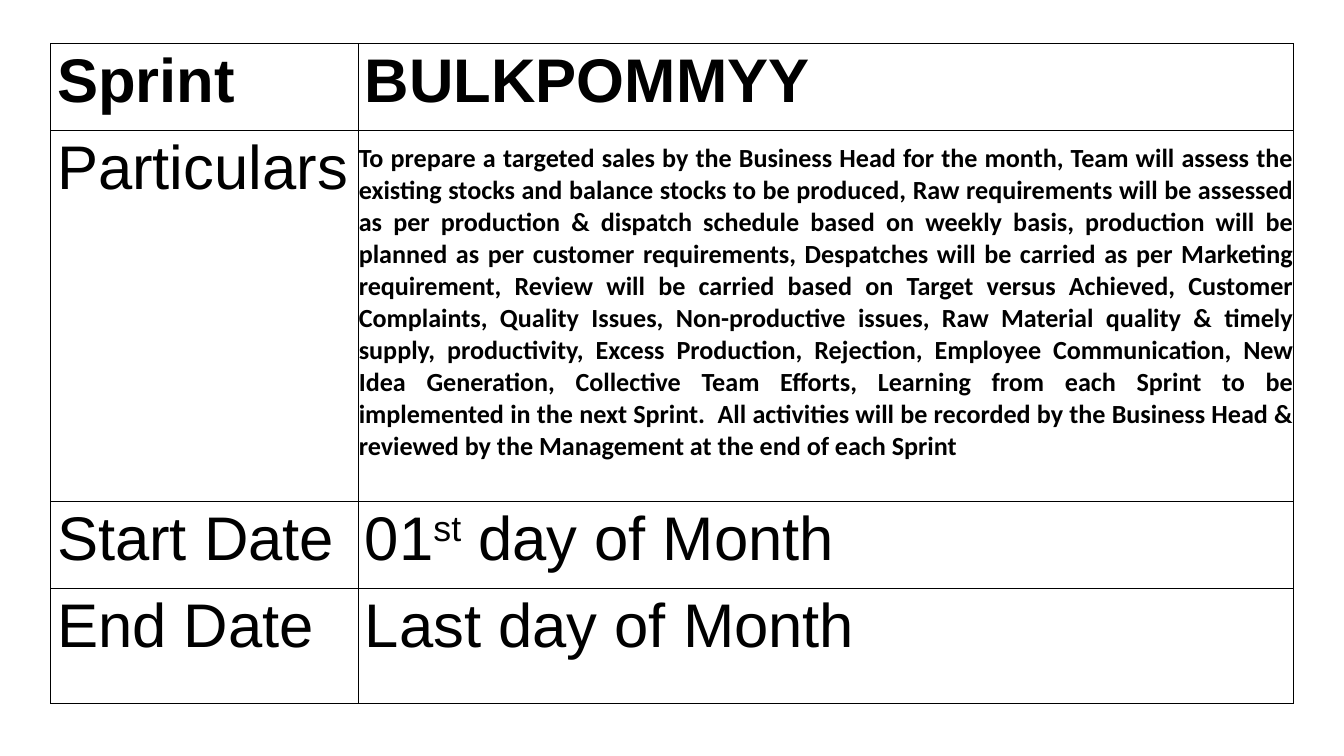
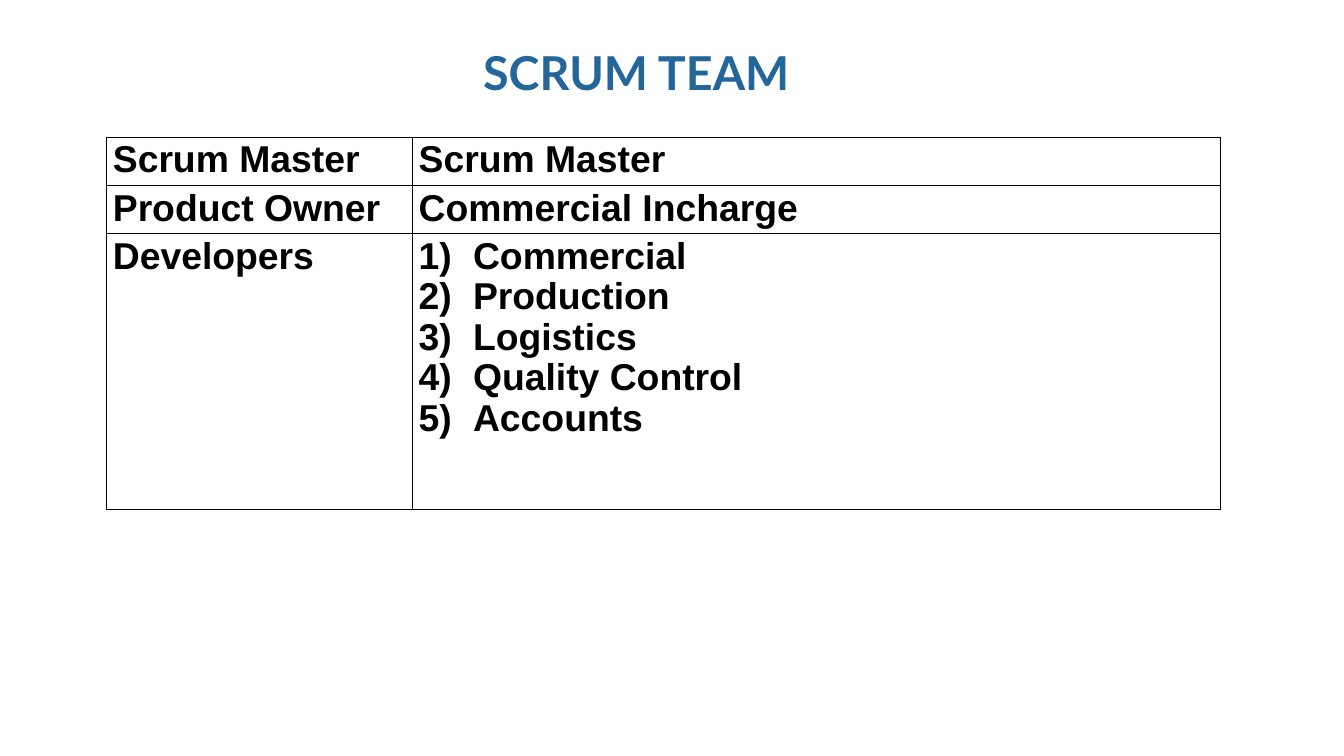
from lxml.etree import SubElement
from pptx import Presentation
from pptx.dml.color import RGBColor
from pptx.enum.text import MSO_ANCHOR, PP_ALIGN
from pptx.oxml import parse_xml
from pptx.oxml.ns import nsdecls, qn
from pptx.util import Inches, Pt

BLACK = RGBColor(0x00, 0x00, 0x00)
WHITE = RGBColor(0xFF, 0xFF, 0xFF)
BLUE = RGBColor(0x23, 0x66, 0x99)

PARTICULARS = (
    "To prepare a targeted sales by the Business Head for the month, "
    "Team will assess the existing stocks and balance stocks to be produced, "
    "Raw requirements will be assessed as per production & dispatch schedule "
    "based on weekly basis, production will be planned as per customer requirements, "
    "Despatches will be carried as per Marketing requirement, "
    "Review will be carried based on Target versus Achieved, Customer Complaints, "
    "Quality Issues, Non-productive issues, Raw Material quality & timely supply, "
    "productivity, Excess Production, Rejection, Employee Communication, "
    "New Idea Generation, Collective Team Efforts, Learning from each Sprint to be "
    "implemented in the next Sprint.  All activities will be recorded by the "
    "Business Head & reviewed by the Management at the end of each Sprint"
)
SPRINT = [
    ("Sprint", "BULKPOMMYY"),
    ("Particulars", PARTICULARS),
    ("Start Date", [("01", 0), ("st", 30), (" day of Month", 0)]),
    ("End Date", "Last day of Month"),
]
DEVELOPERS = ["Commercial", "Production", "Logistics", "Quality Control", "Accounts"]
TEAM = [
    ("Scrum Master", "Scrum Master"),
    ("Product Owner", "Commercial Incharge"),
    ("Developers", DEVELOPERS),
]


def write(para, text, size=40, font="Arial", color=BLACK, bold=False,
          align=None, spacing=None, numbered=False):
    para.alignment = align
    para.line_spacing = spacing
    if numbered:
        props = para._p.get_or_add_pPr()
        props.set("marL", str(Inches(0.81)))
        props.set("indent", str(-Inches(0.81)))
        SubElement(props, qn("a:buFont"), typeface="+mj-lt")
        SubElement(props, qn("a:buAutoNum"), type="arabicParenR")
    for words, raised in [(text, 0)] if isinstance(text, str) else text:
        span = para.add_run()
        span.text = words
        span.font.size = Pt(size)
        span.font.name = font
        span.font.bold = bold
        span.font.color.rgb = color
        if raised:
            span.font._element.set("baseline", str(raised * 1000))


def set_margins(target, left, top, right, bottom):
    target.margin_left, target.margin_top = Inches(left), Inches(top)
    target.margin_right, target.margin_bottom = Inches(right), Inches(bottom)


def frame_cell(cell):
    cell.fill.solid()
    cell.fill.fore_color.rgb = WHITE
    props = cell._tc.get_or_add_tcPr()
    for place, side in enumerate("LRTB"):
        props.insert(place, parse_xml(
            f'<a:ln{side} {nsdecls("a")} w="{Pt(1)}"><a:solidFill>'
            f'<a:srgbClr val="{BLACK}"/></a:solidFill></a:ln{side}>'))


def add_grid(page, left, top, widths, heights):
    table = page.shapes.add_table(
        len(heights), len(widths), Inches(left), Inches(top),
        Inches(sum(widths)), Inches(sum(heights))).table
    table.first_row = table.horz_banding = False
    for column, width in zip(table.columns, widths):
        column.width = Inches(width)
    for row, height in zip(table.rows, heights):
        row.height = Inches(height)
    for cell in table.iter_cells():
        frame_cell(cell)
    return table


def build_sprint(page):
    table = add_grid(page, 0.75, 0.65, [4.58, 13.92], [1.29, 5.52, 1.29, 1.72])
    for row, texts in enumerate(SPRINT):
        for column, text in enumerate(texts):
            cell = table.cell(row, column)
            para = cell.text_frame.paragraphs[0]
            if text is PARTICULARS:
                cell.vertical_anchor = MSO_ANCHOR.MIDDLE
                set_margins(cell, 0.01, 0.01, 0.01, 0.4)
                write(para, text, size=28, font="Calibri", bold=True,
                      align=PP_ALIGN.JUSTIFY)
            else:
                write(para, text, size=66, bold=row == 0)


def build_team(page):
    table = add_grid(page, 1.58, 2.04, [4.55, 12.03], [0.72, 0.72, 4.1])
    for row, texts in enumerate(TEAM):
        for column, content in enumerate(texts):
            frame = table.cell(row, column).text_frame
            numbered = content is DEVELOPERS
            for place, text in enumerate(content if numbered else [content]):
                para = frame.add_paragraph() if place else frame.paragraphs[0]
                write(para, text, bold=True, spacing=0.97, numbered=numbered)
    box = page.shapes.add_textbox(Inches(7.19), Inches(0.65), Inches(5.63), Inches(0.86))
    box.text_frame.word_wrap = True
    set_margins(box.text_frame, 0, 0, 0, 0)
    write(box.text_frame.paragraphs[0], "SCRUM TEAM", size=50, font="Lato",
          color=BLUE, bold=True)


def main():
    deck = Presentation()
    deck.slide_width, deck.slide_height = Inches(20), Inches(11.25)
    for build in (build_sprint, build_team):
        build(deck.slides.add_slide(deck.slide_layouts[6]))
    deck.save("out.pptx")


if __name__ == "__main__":
    main()
